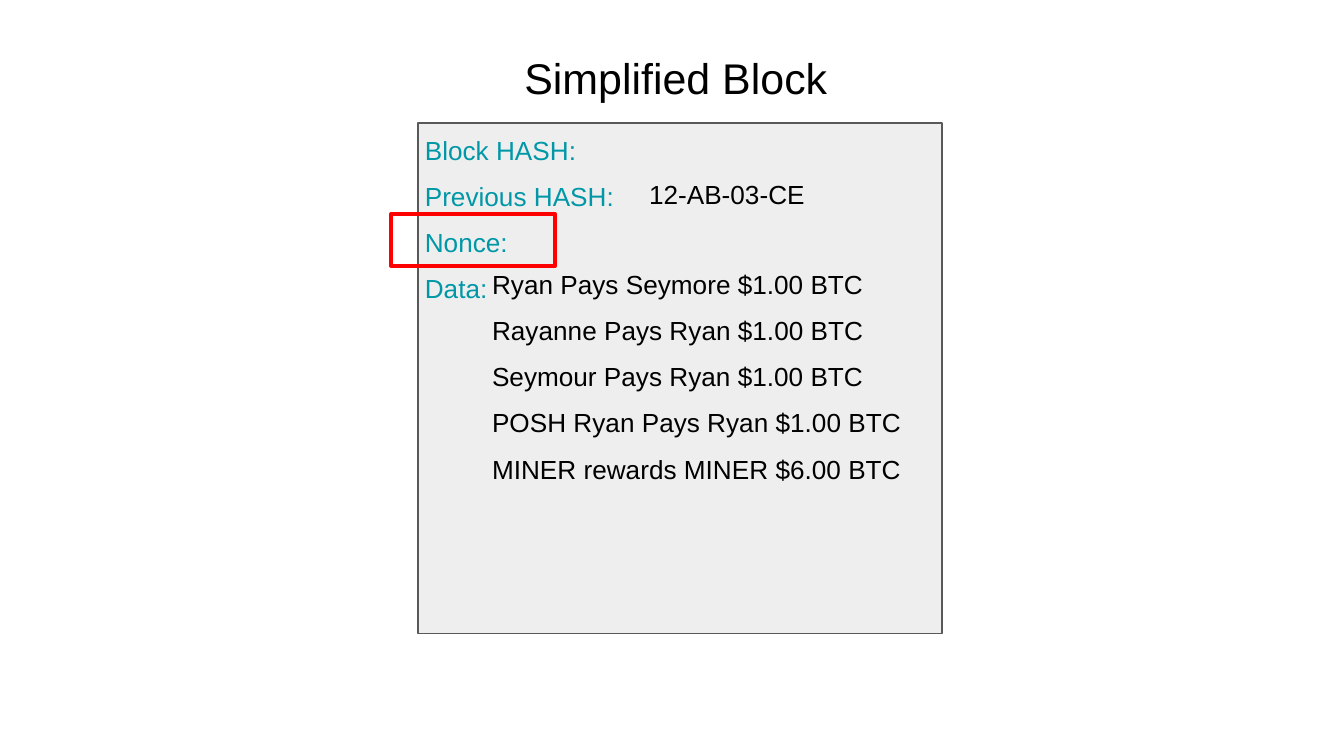
from lxml.etree import SubElement as Sub
from pptx import Presentation as Deck
from pptx.dml.color import RGBColor as Rgb
from pptx.enum.shapes import MSO_SHAPE as Kind
from pptx.enum.text import MSO_ANCHOR as Anchor, MSO_AUTO_SIZE as Fit, PP_ALIGN as Align
from pptx.oxml.ns import qn
from pptx.util import Pt

TOP, STEP, ROW = 64.6, 24, 31.7
LEFT, INDENT = 220.4, 256.4
TEAL, BLACK = "0097A7", "000000"
LABELS = ["Block HASH:", "Previous HASH:", "Nonce:", "Data:"]
PAYS = [
    "Ryan Pays Seymore $1.00 BTC",
    "Rayanne Pays Ryan $1.00 BTC",
    "Seymour Pays Ryan $1.00 BTC",
    "POSH Ryan Pays Ryan $1.00 BTC",
    "MINER rewards MINER $6.00 BTC",
]
FRAME = {
    "word_wrap": True, "auto_size": Fit.NONE, "vertical_anchor": Anchor.TOP,
    "margin_left": Pt(7.2), "margin_right": Pt(7.2),
    "margin_top": Pt(7.2), "margin_bottom": Pt(7.2),
}
LINE = {"space_before": Pt(0), "space_after": Pt(7.9), "line_spacing": 1.0}


def apply(item, vals):
    for key, val in vals.items():
        setattr(item, key, val)


def color(code):
    return Rgb.from_string(code)


def place(shape, *box):
    apply(shape, dict(zip(("left", "top", "width", "height"), map(Pt, box))))


def write(shape, lines, size, code, align=Align.LEFT):
    frame = shape.text_frame
    apply(frame, FRAME)
    frame.text = "\n".join(lines)
    for para in frame.paragraphs:
        apply(para, {**LINE, "alignment": align})
        apply(para.font, {"name": "Arial", "size": Pt(size), "bold": False})
        para.font.color.rgb = color(code)


def fill_list(shape, lines, code, left, row, width):
    place(shape, left, TOP + row * STEP, width, ROW + (len(lines) - 1) * STEP)
    write(shape, lines, 14, code)
    for para in shape.text_frame.paragraphs:
        props = para._p.get_or_add_pPr()
        props.set("marL", "0")
        props.set("indent", "0")
        bullet = Sub(props, qn("a:buNone"))
        props.find(qn("a:spcAft")).addnext(bullet)


def add_rect(slide, box, edge, width, fill=None):
    rect = slide.shapes.add_shape(Kind.RECTANGLE, *map(Pt, box))
    rect.shadow.inherit = False
    if fill:
        rect.fill.solid()
        rect.fill.fore_color.rgb = color(fill)
    else:
        rect.fill.background()
    rect.line.color.rgb = color(edge)
    rect.line.width = Pt(width)
    Sub(rect.line._get_or_add_ln(), qn("a:round"))
    return rect


def main():
    deck = Deck()
    apply(deck, {"slide_width": Pt(720), "slide_height": Pt(405)})
    slide = deck.slides.add_slide(deck.slide_layouts[3])
    title, labels, pays = slide.placeholders

    block = add_rect(slide, (224, 66, 280.6, 273.6), "595959", 0.75, "EEEEEE")
    title._element.addprevious(block._element)

    place(title, LEFT, 20.4, 283.6, 42.4)
    write(title, ["Simplified Block"], 23, BLACK, Align.CENTER)
    fill_list(labels, LABELS, TEAL, LEFT, 0, 217.4)
    fill_list(pays, PAYS, BLACK, INDENT, 3, 234.8)

    hash_box = slide.shapes.add_textbox(*map(Pt, (340.6, TOP + STEP, 217.4, ROW)))
    write(hash_box, ["12-AB-03-CE"], 14, BLACK)
    add_rect(slide, (209.6, 114.8, 87.8, 27.6), "FF0000", 2.25)

    deck.save("out.pptx")


if __name__ == "__main__":
    main()
